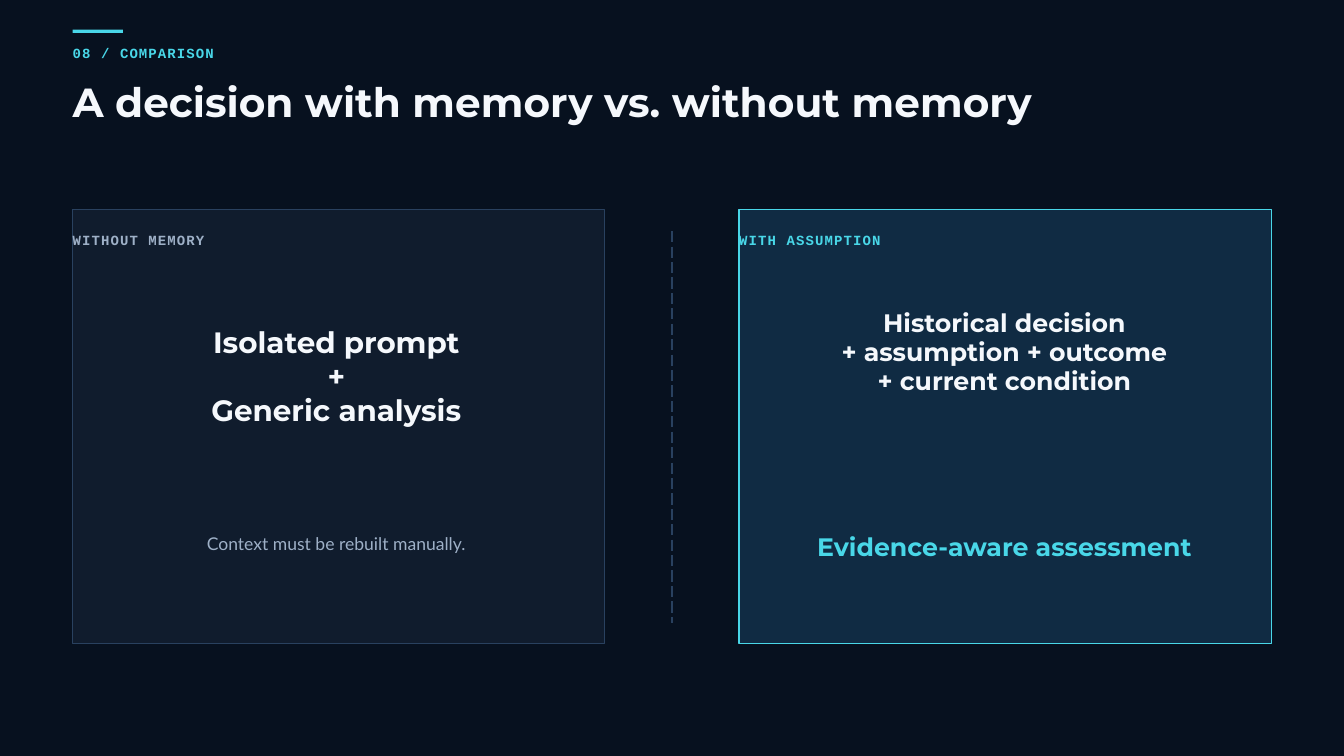
from lxml import etree
from pptx import Presentation
from pptx.dml.color import RGBColor as RGB
from pptx.enum.dml import MSO_LINE
from pptx.enum.shapes import MSO_CONNECTOR as LINK, MSO_SHAPE as SHAPE
from pptx.enum.text import MSO_ANCHOR as ANCHOR, MSO_AUTO_SIZE as AUTO, PP_ALIGN as ALIGN
from pptx.oxml.ns import qn
from pptx.util import Inches, Pt

COLORS = {
    "back": "07111F", "cyan": "49D7E8", "white": "F5F8FC", "gray": "9EB0C7",
    "edge": "29415F", "dark": "101C2D", "blue": "102B43",
}
HUES = {name: RGB.from_string(code) for name, code in COLORS.items()}
LEFT, RIGHT = 1.08, 11
WIDE = 7.92


def write(box, area, text, face, size, lead, hue, bold=True, align=ALIGN.LEFT, gap=0):
    """Place a text shape and format all of its lines."""
    box.left, box.top, box.width, box.height = map(Inches, area)
    frame = box.text_frame
    frame.text = text
    frame.word_wrap = True
    frame.auto_size = AUTO.NONE
    frame.vertical_anchor = ANCHOR.TOP
    frame.margin_left = frame.margin_right = frame.margin_top = frame.margin_bottom = 0
    for para in frame.paragraphs:
        para.alignment = align
        para.line_spacing = Pt(lead)
        for run in para.runs:
            font = run.font
            font.name, font.size, font.bold = face, Pt(size), bold
            font.color.rgb = HUES[hue]
            if gap:
                font._element.set("spc", str(round(gap * 100)))


def block(area, fill, edge=None, weight=0):
    """Draw a flat rectangle, with an outline if an edge is named."""
    shape = slide.shapes.add_shape(SHAPE.RECTANGLE, *map(Inches, area))
    shape.shadow.inherit = False
    shape.fill.solid()
    shape.fill.fore_color.rgb = HUES[fill]
    if edge:
        shape.line.color.rgb = HUES[edge]
        shape.line.width = Pt(weight)
    else:
        shape.line.fill.background()


deck = Presentation()
deck.slide_width, deck.slide_height = Inches(20), Inches(11.25)
slide = deck.slides.add_slide(deck.slide_layouts[5])
slide.background.fill.solid()
slide.background.fill.fore_color.rgb = HUES["back"]

# Title
write(slide.shapes.title, (LEFT, 1.21, 15.62, 0.67),
      "A decision with memory vs. without memory", "Montserrat", 43.5, 47, "white")

# Accent bar and the two cards
block((LEFT, 0.44, 0.75, 0.05), "cyan")
block((LEFT, 3.12, WIDE, 6.46), "dark", "edge", 0.75)
block((RIGHT, 3.12, WIDE, 6.46), "blue", "cyan", 1.5)

# Dashed divider
rule = slide.shapes.add_connector(LINK.STRAIGHT, Inches(10), Inches(3.44), Inches(10), Inches(9.27))
rule.line.color.rgb = HUES["edge"]
rule.line.width = Pt(1.5)
rule.line.dash_style = MSO_LINE.LONG_DASH
etree.SubElement(rule._element.spPr, qn("a:effectLst"))

# Section and card labels
for left, top, width, text, hue in [
    (LEFT, 0.62, 2.71, "08 / COMPARISON", "cyan"),
    (LEFT, 3.41, WIDE, "WITHOUT MEMORY", "gray"),
    (RIGHT, 3.41, WIDE, "WITH ASSUMPTION", "cyan"),
]:
    write(slide.shapes.add_textbox(0, 0, 0, 0), (left, top, width, 0.28),
          text, "Courier New", 15, 21, hue, gap=1.2)

# Card statements and outcomes
for left, top, height, text, face, size, lead, hue, bold in [
    (1.88, 4.85, 1.51, "Isolated prompt\n+\nGeneric analysis",
     "Montserrat", 31.5, 36.2, "white", True),
    (11.82, 4.59, 1.29, "Historical decision\n+ assumption + outcome\n+ current condition",
     "Montserrat", 27, 31, "white", True),
    (1.88, 7.88, 0.35, "Context must be rebuilt manually.",
     "Lato", 18.8, 26.2, "gray", False),
    (11.82, 7.93, 0.44, "Evidence-aware assessment",
     "Montserrat", 27, 31, "cyan", True),
]:
    write(slide.shapes.add_textbox(0, 0, 0, 0), (left, top, 6.25, height),
          text, face, size, lead, hue, bold, ALIGN.CENTER)

deck.save("out.pptx")
